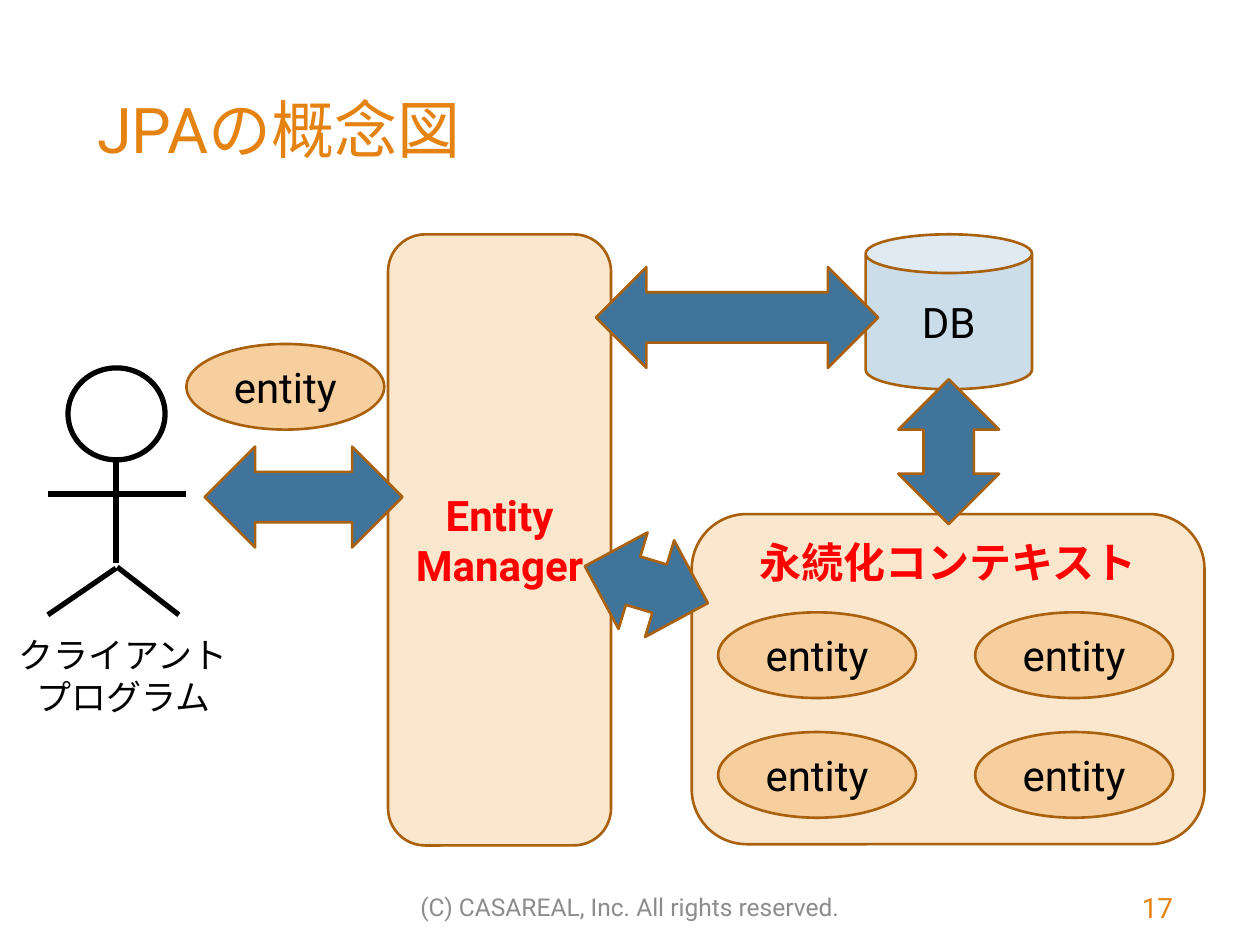
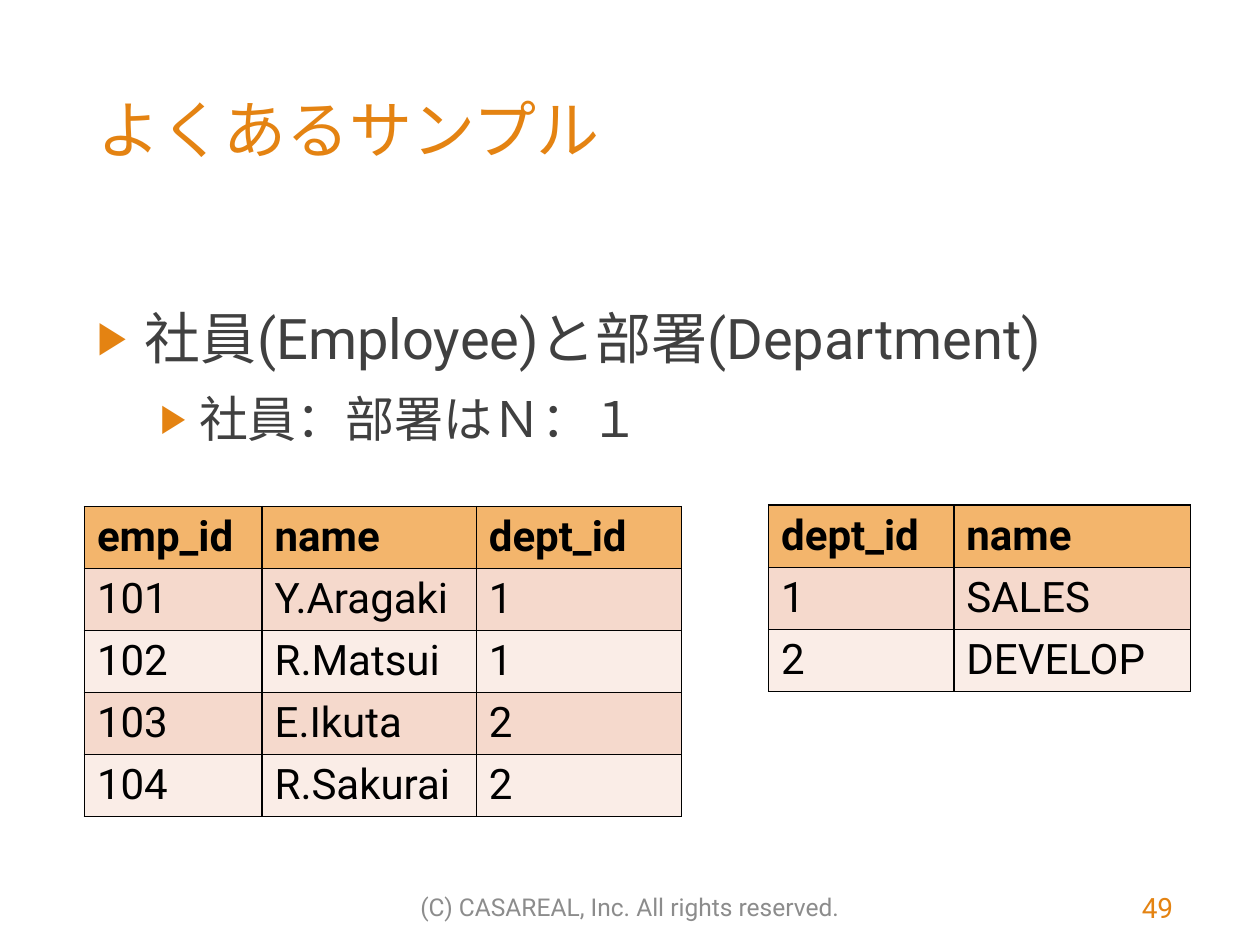
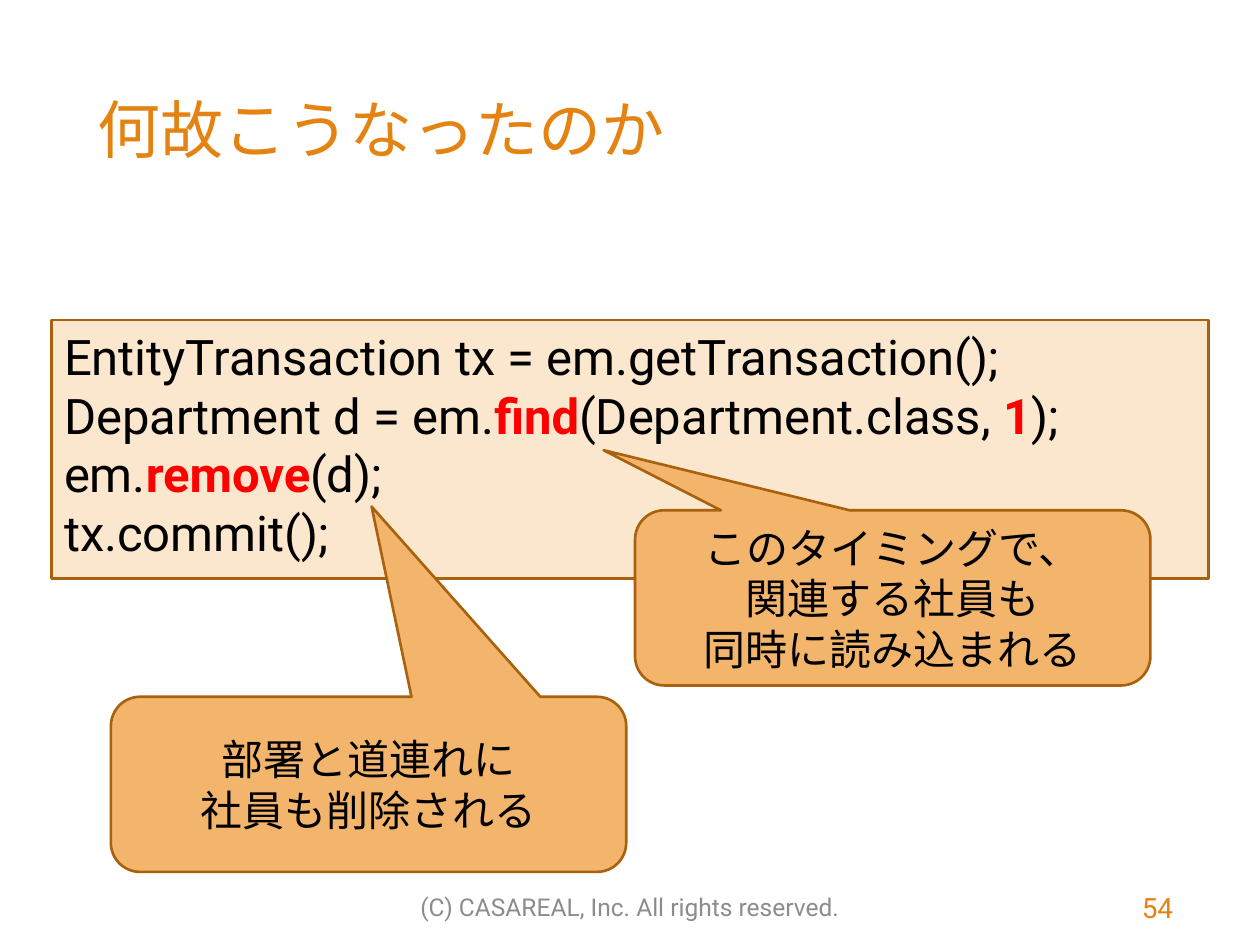
from lxml import etree
from pptx import Presentation
from pptx.dml.color import RGBColor
from pptx.enum.shapes import MSO_CONNECTOR, MSO_SHAPE
from pptx.enum.text import MSO_ANCHOR, MSO_AUTO_SIZE, PP_ALIGN
from pptx.oxml.ns import qn
from pptx.util import Inches, Pt

LEFT, MID, RIGHT = PP_ALIGN.LEFT, PP_ALIGN.CENTER, PP_ALIGN.RIGHT
TOP, CENTER = MSO_ANCHOR.TOP, MSO_ANCHOR.MIDDLE
RECT, ROUND = MSO_SHAPE.RECTANGLE, MSO_SHAPE.ROUNDED_RECTANGLE
OVAL, CAN = MSO_SHAPE.OVAL, MSO_SHAPE.CAN
ARROW, CALL = MSO_SHAPE.UP_DOWN_ARROW, MSO_SHAPE.ROUNDED_RECTANGULAR_CALLOUT
STRAIGHT = MSO_CONNECTOR.STRAIGHT
NO_FIT = MSO_AUTO_SIZE.NONE

FONT = "Roboto"
HEX = {
    "title": "E48312", "body": "404040", "foot": "8C8C8C",
    "text": "000000", "key": "FF0000", "edge": "A9610D",
    "pale": "FBE6CE", "peach": "F7CE9D", "amber": "F3B56C",
    "sky": "CCDDEA", "blue": "40749B", "odd": "F5D9CC", "even": "FAEDE7",
}

FOOT = "(C) CASAREAL, Inc. All rights reserved."

# Concept diagram
MODEL = "JPAの概念図"
ENTITY = "entity"
OVAL_SIZE = (1.57, 0.68)
STORED = [(x, y) for x in (5.7, 7.74) for y in (4.86, 5.81)]
MANAGER = ["Entity", "Manager"]
CLIENT = ["クライアント", "プログラム"]
HEAD = (0.54, 2.92, 0.77, 0.73)
LIMBS = [
    (0.92, 3.65, 0.92, 4.47),
    (0.38, 3.92, 1.48, 3.92),
    (0.38, 4.88, 0.92, 4.51),
    (0.93, 4.5, 1.42, 4.88),
]

# Sample tables
SAMPLE = "よくあるサンプル"
# text, size, left indent, hanging indent
POINTS = [
    ("社員(Employee)と部署(Department)", 32, 0.38, 0.38),
    ("社員：部署はＮ：１", 28, 0.81, 0.31),
]
ROW = 0.49
DEPTS = [("dept_id", "name"), ("1", "SALES"), ("2", "DEVELOP")]
STAFF = [
    ("emp_id", "name", "dept_id"),
    ("101", "Y.Aragaki", "1"),
    ("102", "R.Matsui", "1"),
    ("103", "E.Ikuta", "2"),
    ("104", "R.Sakurai", "2"),
]
TABLES = [
    ((6.1, 4.01), (1.47, 1.88), DEPTS),
    ((0.67, 4.02), (1.41, 1.7, 1.63), STAFF),
]

# Code with callouts; a one-item tuple marks a key word
REASON = "何故こうなったのか"
CODE = [
    "EntityTransaction tx = em.getTransaction();",
    ["Department d = em.", ("find",), "(Department.class, ", ("1",), ");"],
    ["em.", ("remove",), "(d);"],
    "tx.commit();",
]
NOTES = [
    ((5.04, 4.05), (-0.561, -0.843),
     ["このタイミングで、", "関連する社員も", "同時に読み込まれる"]),
    ((0.88, 5.53), (0.006, -1.586),
     ["部署と道連れに", "社員も削除される"]),
]
NOTE_SIZE = (4.09, 1.39)


def rgb(name):
    return RGBColor.from_string(HEX[name])


def add_run(para, text, size, color="text", bold=False):
    run = para.add_run()
    run.text = text
    font = run.font
    font.name, font.size, font.bold = FONT, Pt(size), bold
    font.color.rgb = rgb(color)


def write(frame, lines, size, color="text", bold=False, align=MID, anchor=CENTER):
    """Fill a frame; each line is a string or a list of runs."""
    frame.word_wrap = True
    frame.auto_size = NO_FIT
    frame.vertical_anchor = anchor
    for i, line in enumerate(lines):
        para = frame.paragraphs[0] if i == 0 else frame.add_paragraph()
        para.alignment = align
        for part in [line] if isinstance(line, str) else line:
            if isinstance(part, tuple):
                add_run(para, part[0], size, "key", True)
            else:
                add_run(para, part, size, color, bold)


def place(shape, box):
    shape.left, shape.top, shape.width, shape.height = map(Inches, box)


def add_label(slide, box, lines, size, color="text", align=MID, anchor=CENTER):
    label = slide.shapes.add_textbox(*map(Inches, box))
    write(label.text_frame, lines, size, color, align=align, anchor=anchor)


def add_box(shapes, kind, box, fill=None, edge="edge", width=1.5):
    shape = shapes.add_shape(kind, *map(Inches, box))
    shape.shadow.inherit = False
    if fill:
        shape.fill.solid()
        shape.fill.fore_color.rgb = rgb(fill)
    else:
        shape.fill.background()
    shape.line.color.rgb = rgb(edge)
    shape.line.width = Pt(width)
    return shape


def add_entity(slide, spot):
    oval = add_box(slide.shapes, OVAL, spot + OVAL_SIZE, "peach")
    write(oval.text_frame, [ENTITY], 24)


def add_arrow(slide, box, turn=0):
    add_box(slide.shapes, ARROW, box, "blue").rotation = turn


def add_client(slide):
    group = slide.shapes.add_group_shape()
    add_box(group.shapes, OVAL, HEAD, edge="text", width=3)
    for limb in LIMBS:
        line = group.shapes.add_connector(STRAIGHT, *map(Inches, limb))
        line.line.color.rgb = rgb("text")
        line.line.width = Pt(3)
        props = line._element.spPr
        etree.SubElement(props, qn("a:effectLst"))


def add_bullet(para, left, hang):
    props = para._p.get_or_add_pPr()
    props.set("marL", str(Inches(left)))
    props.set("indent", str(-Inches(hang)))
    color = etree.SubElement(props, qn("a:buClr"))
    etree.SubElement(color, qn("a:srgbClr"), val=HEX["title"])
    etree.SubElement(props, qn("a:buSzPct"), val="80000")
    etree.SubElement(props, qn("a:buFont"), typeface="Arial")
    etree.SubElement(props, qn("a:buChar"), char="▶")


def frame_cell(cell):
    props = cell._tc.get_or_add_tcPr()
    for i, side in enumerate(("lnL", "lnR", "lnT", "lnB")):
        line = etree.Element(qn("a:" + side), w=str(Pt(1)))
        fill = etree.SubElement(line, qn("a:solidFill"))
        etree.SubElement(fill, qn("a:srgbClr"), val=HEX["text"])
        props.insert(i, line)


def add_grid(slide, spot, widths, rows):
    box = spot + (sum(widths), ROW * len(rows))
    table = slide.shapes.add_table(len(rows), len(widths), *map(Inches, box)).table
    for col, width in zip(table.columns, widths):
        col.width = Inches(width)
    for r, row in enumerate(rows):
        table.rows[r].height = Inches(ROW)
        fill = "amber" if r == 0 else "odd" if r % 2 else "even"
        for c, text in enumerate(row):
            cell = table.cell(r, c)
            cell.fill.solid()
            cell.fill.fore_color.rgb = rgb(fill)
            frame_cell(cell)
            para = cell.text_frame.paragraphs[0]
            add_run(para, text, 24, bold=r == 0)


def new_slide(deck, title, page, layout=5):
    slide = deck.slides.add_slide(deck.slide_layouts[layout])
    head = slide.shapes.title
    place(head, (0.67, 0.67, 8.75, 1.44))
    write(head.text_frame, [title], 36, "title", align=LEFT, anchor=TOP)
    add_label(slide, (2.47, 7, 5.06, 0.4), [FOOT], 14, "foot")
    add_label(slide, (8.85, 7, 0.56, 0.4), [str(page)], 16, "title", RIGHT)
    return slide


def draw_model(deck):
    slide = new_slide(deck, MODEL, 17)
    shapes = slide.shapes
    store = add_box(shapes, CAN, (6.87, 1.86, 1.32, 1.23), "sky")
    write(store.text_frame, ["DB"], 24)
    context = add_box(shapes, ROUND, (5.49, 4.08, 4.07, 2.62), "pale")
    write(context.text_frame, ["永続化コンテキスト"], 24, "key", True, anchor=TOP)
    for spot in STORED:
        add_entity(slide, spot)
    add_arrow(slide, (7.13, 3.01, 0.8, 1.15))
    manager = add_box(shapes, ROUND, (3.08, 1.86, 1.77, 4.85), "pale")
    write(manager.text_frame, MANAGER, 24, "key", True)
    add_arrow(slide, (5.45, 1.4, 0.8, 2.24), 90)
    add_arrow(slide, (4.73, 4.13, 0.8, 1.02), 286.7)
    add_client(slide)
    add_arrow(slide, (2.01, 3.16, 0.8, 1.57), 270)
    add_entity(slide, (1.48, 2.73))
    add_label(slide, (0.01, 4.98, 1.94, 0.77), CLIENT, 20, anchor=TOP)


def draw_sample(deck):
    slide = new_slide(deck, SAMPLE, 49, layout=1)
    body = slide.placeholders[1]
    place(body, (0.67, 2.36, 8.75, 1.29))
    frame = body.text_frame
    frame.auto_size = NO_FIT
    frame.vertical_anchor = TOP
    for i, (text, size, left, hang) in enumerate(POINTS):
        para = frame.add_paragraph() if i else frame.paragraphs[0]
        para.level = i
        add_bullet(para, left, hang)
        para.space_before = Pt(10 if i else 0)
        add_run(para, text, size, "body")
    for spot, widths, rows in TABLES:
        add_grid(slide, spot, widths, rows)


def draw_reason(deck):
    slide = new_slide(deck, REASON, 54)
    code = add_box(slide.shapes, RECT, (0.41, 2.54, 9.18, 2.05), "pale")
    write(code.text_frame, CODE, 28, align=LEFT, anchor=TOP)
    for spot, tip, lines in NOTES:
        note = add_box(slide.shapes, CALL, spot + NOTE_SIZE, "amber")
        note.adjustments[0], note.adjustments[1] = tip
        write(note.text_frame, lines, 24)


def main():
    deck = Presentation()
    deck.slide_width, deck.slide_height = Inches(10), Inches(7.5)
    draw_model(deck)
    draw_sample(deck)
    draw_reason(deck)
    deck.save("out.pptx")


if __name__ == "__main__":
    main()
